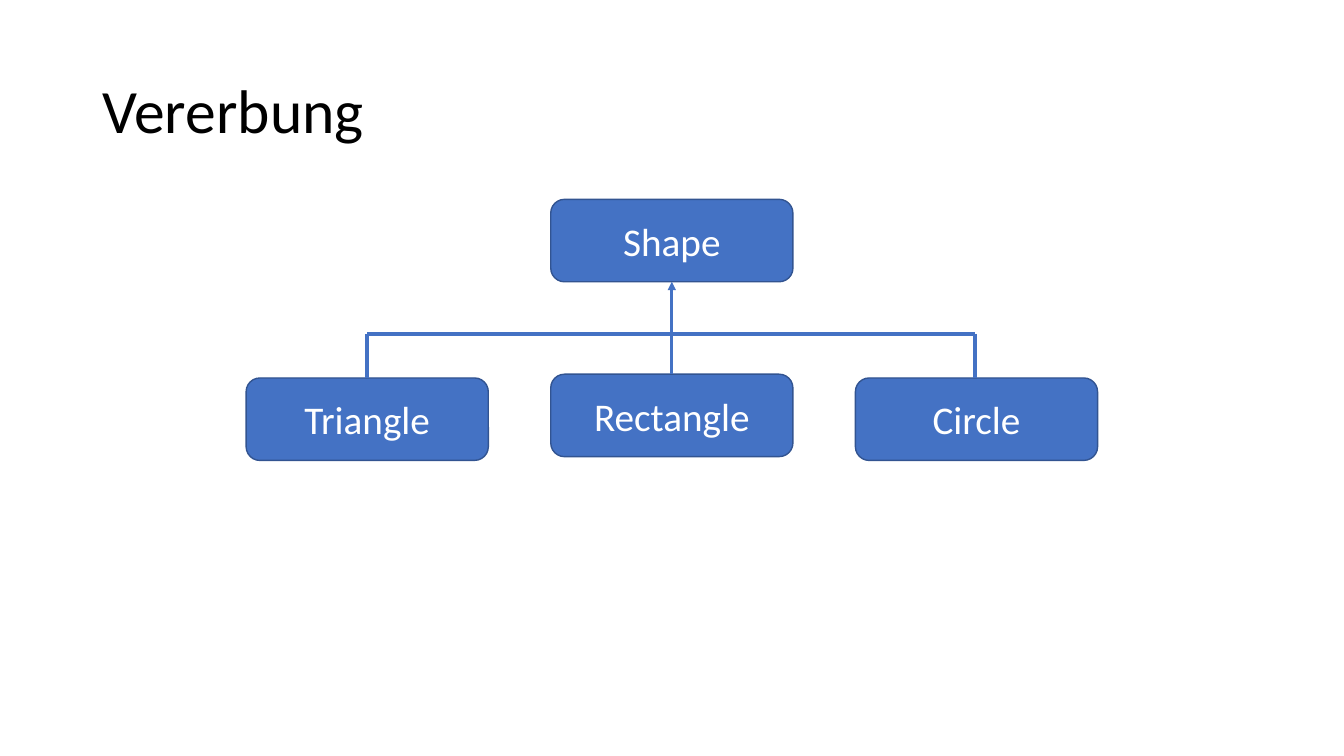
from lxml.etree import SubElement
from pptx import Presentation
from pptx.dml.color import RGBColor
from pptx.enum.shapes import MSO_CONNECTOR, MSO_SHAPE
from pptx.enum.text import MSO_ANCHOR, MSO_AUTO_SIZE, PP_ALIGN
from pptx.oxml.ns import qn
from pptx.util import Pt

TITLE = "Vererbung"
BLUE = RGBColor(0x44, 0x72, 0xC4)
BORDER = RGBColor(0x32, 0x54, 0x91)
WHITE = RGBColor(0xFF, 0xFF, 0xFF)
BLACK = RGBColor(0, 0, 0)

BOX_WIDTH, BOX_HEIGHT = 173, 58.9
MIDDLE, SPREAD = 479.9, 217.6
PARENT_TOP, CHILD_TOP, RECTANGLE_TOP = 142.4, 270, 267.3
PARENT_BOTTOM = PARENT_TOP + BOX_HEIGHT
BUS_Y, BUS_LEFT, BUS_RIGHT = 238.4, 262.2, 696.5

# name, centre x, top
CLASSES = [
    ("Shape", MIDDLE, PARENT_TOP),
    ("Triangle", MIDDLE - SPREAD, CHILD_TOP),
    ("Rectangle", MIDDLE, RECTANGLE_TOP),
    ("Circle", MIDDLE + SPREAD, CHILD_TOP),
]
# start x, start y, end x, end y, width, arrowhead at the end
LINES = [
    (BUS_LEFT, BUS_Y, BUS_LEFT, CHILD_TOP, 3, False),
    (BUS_RIGHT, BUS_Y, BUS_RIGHT, CHILD_TOP, 3, False),
    (BUS_LEFT, BUS_Y, BUS_RIGHT, BUS_Y, 3, False),
    (MIDDLE, BUS_Y, MIDDLE, PARENT_BOTTOM, 0.5, True),
    (MIDDLE, BUS_Y, MIDDLE, RECTANGLE_TOP, 2.25, False),
    (MIDDLE, 205.2, MIDDLE, 239.8, 2.25, False),
]


def write(shape, text, size, color, align):
    frame = shape.text_frame
    frame.text = text
    layout = {"word_wrap": True, "auto_size": MSO_AUTO_SIZE.NONE,
              "vertical_anchor": MSO_ANCHOR.MIDDLE}
    for name, value in layout.items():
        setattr(frame, name, value)
    para = frame.paragraphs[0]
    para.alignment = align
    font = para.runs[0].font
    for name, value in {"name": "Calibri", "size": Pt(size)}.items():
        setattr(font, name, value)
    font.color.rgb = color
    return para


def add_class(page, name, center, top):
    box = page.shapes.add_shape(
        MSO_SHAPE.ROUNDED_RECTANGLE, Pt(center - BOX_WIDTH / 2), Pt(top),
        Pt(BOX_WIDTH), Pt(BOX_HEIGHT))
    box.shadow.inherit = False
    box.fill.solid()
    box.fill.fore_color.rgb = BLUE
    box.line.color.rgb = BORDER
    box.line.width = Pt(1)
    write(box, name, 28, WHITE, PP_ALIGN.CENTER)


def add_line(page, x1, y1, x2, y2, width, arrow):
    line = page.shapes.add_connector(
        MSO_CONNECTOR.STRAIGHT, Pt(x1), Pt(y1), Pt(x2), Pt(y2))
    line.line.color.rgb = BLUE
    line.line.width = Pt(width)
    properties = line.line._get_or_add_ln()
    if arrow:
        SubElement(properties, qn("a:tailEnd"), type="triangle")
    SubElement(properties.getparent(), qn("a:effectLst"))


def main():
    deck = Presentation()
    deck.slide_width, deck.slide_height = Pt(960), Pt(540)
    page = deck.slides.add_slide(deck.slide_layouts[5])

    title = page.shapes.title
    place = {"left": 66, "top": 28.8, "width": 828, "height": 104.4}
    for name, value in place.items():
        setattr(title, name, Pt(value))
    write(title, TITLE, 44, BLACK, PP_ALIGN.LEFT).line_spacing = 0.9

    for entry in CLASSES:
        add_class(page, *entry)
    for entry in LINES:
        add_line(page, *entry)
    deck.save("out.pptx")


if __name__ == "__main__":
    main()
